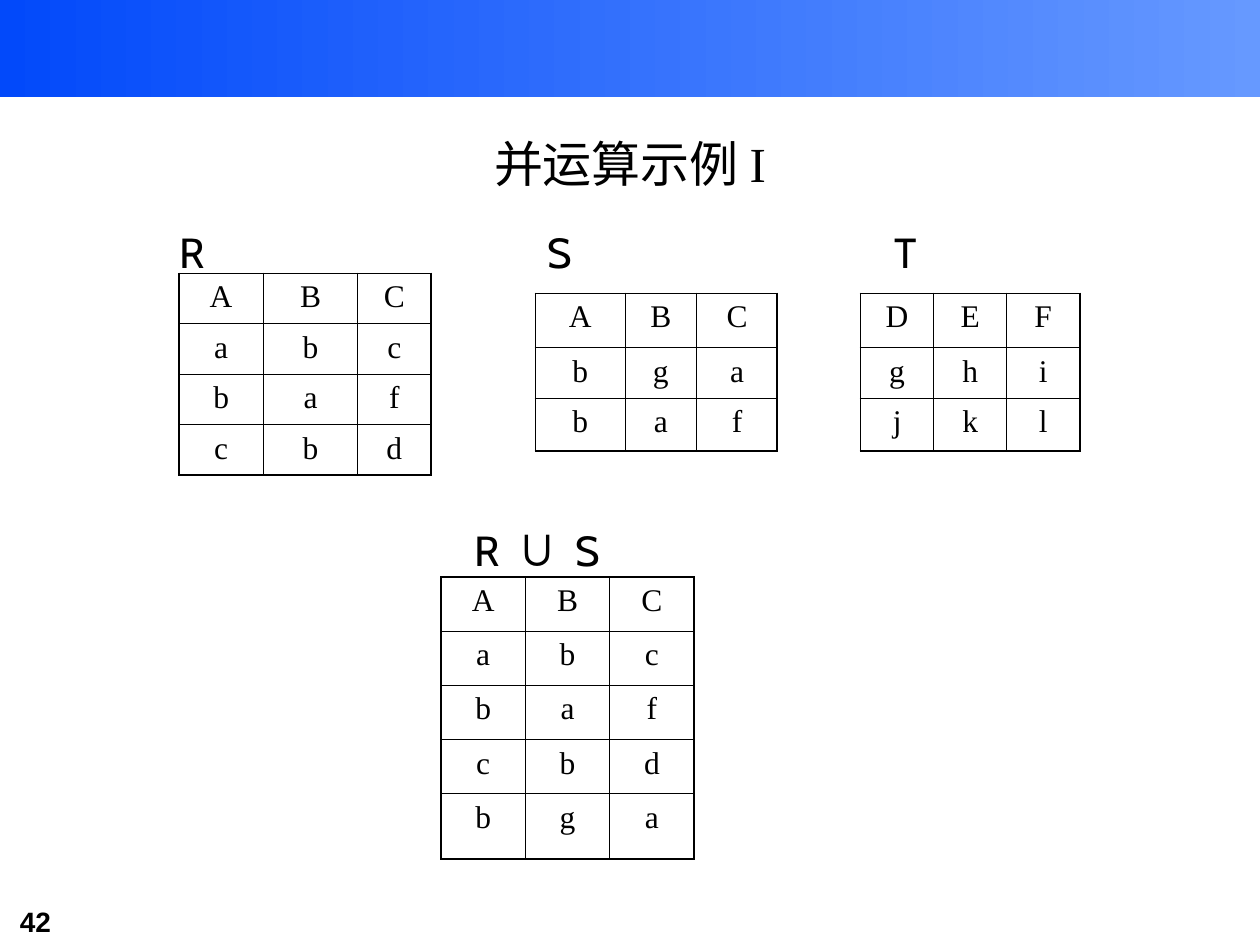
import pptx
import pptx.dml.color
import pptx.enum.shapes
import pptx.enum.text
import pptx.oxml
import pptx.oxml.ns
import pptx.util
from pptx.util import Inches

SERIF, LABEL = "Times New Roman", "Cabin"


def color(value):
    return pptx.dml.color.RGBColor.from_string(value)


def style_run(r, size, font, bold=False):
    r.font.size = pptx.util.Pt(size)
    r.font.name = font
    r.font.bold = bold
    r.font.color.rgb = color("000000")


prs = pptx.Presentation()
prs.slide_width, prs.slide_height = Inches(10), Inches(7.5)
s = prs.slides.add_slide(prs.slide_layouts[5])

# Gradient band across the top
band = s.shapes.add_shape(pptx.enum.shapes.MSO_SHAPE.RECTANGLE,
                          0, 0, Inches(10), Inches(0.77))
band.shadow.inherit = False
band.line.fill.background()
band.fill.gradient()
band.fill.gradient_angle = 0
for stop, value in zip(band.fill.gradient_stops, ("0249FA", "6699FF")):
    stop.color.rgb = color(value)

# Title
title = s.shapes.title
title.left, title.top = Inches(0.75), Inches(0.67)
title.width, title.height = Inches(8.5), Inches(1.25)
tf = title.text_frame
tf.text = "并运算示例 I"
tf.vertical_anchor = pptx.enum.text.MSO_ANCHOR.MIDDLE
p = tf.paragraphs[0]
p.alignment = pptx.enum.text.PP_ALIGN.CENTER
style_run(p.runs[0], 28, SERIF)

# Relations: left, top, column widths, row heights, rows of values
relations = [
    (1.42, 2.17, (0.67, 0.75, 0.58), (0.4,) * 4, ("ABC", "abc", "baf", "cbd")),
    (4.25, 2.33, (0.71, 0.57, 0.64), (0.43, 0.4, 0.42), ("ABC", "bga", "baf")),
    (6.83, 2.33, (0.58,) * 3, (0.43, 0.4, 0.42), ("DEF", "ghi", "jkl")),
    (3.5, 4.58, (0.67,) * 3, (0.43,) * 4 + (0.52,),
     ("ABC", "abc", "baf", "cbd", "bga")),
]
for left, top, widths, heights, rows in relations:
    table = s.shapes.add_table(
        len(rows), len(widths), Inches(left), Inches(top),
        Inches(sum(widths)), Inches(sum(heights))).table
    table.first_row = table.horz_banding = False
    for column, width in zip(table.columns, widths):
        column.width = Inches(width)
    for row, height in zip(table.rows, heights):
        row.height = Inches(height)

    for i, values in enumerate(rows):
        for j, value in enumerate(values):
            cell = table.cell(i, j)
            cell.text_frame.text = value
            p = cell.text_frame.paragraphs[0]
            p.alignment = pptx.enum.text.PP_ALIGN.CENTER
            style_run(p.runs[0], 18, SERIF)

            # Thick outer edges, thin inner lines
            outer = {"L": j == 0, "R": j == len(widths) - 1,
                     "T": i == 0, "B": i == len(rows) - 1}
            tc_pr = cell._tc.get_or_add_tcPr()
            for side, is_outer in outer.items():
                line_width = pptx.util.Pt(1.08 if is_outer else 0.45)
                tc_pr.append(pptx.oxml.parse_xml(
                    f'<a:ln{side} {pptx.oxml.ns.nsdecls("a")} w="{line_width}">'
                    '<a:solidFill><a:srgbClr val="000000"/></a:solidFill>'
                    f'</a:ln{side}>'))
            cell.fill.background()

# Relation names and page number: left, top, width, height, runs
labels = [
    (1.33, 1.75, 1, 0.5, [("R", 24, LABEL)]),
    (4.25, 1.75, 1, 0.5, [("S", 24, LABEL)]),
    (7, 1.75, 0.83, 0.5, [("T", 24, LABEL)]),
    (3.67, 4, 1.67, 0.64,
     [("R ", 24, LABEL), ("∪", 32, SERIF), (" S", 24, LABEL)]),
    (0.06, 7.13, 1.22, 0.37, [("42", 16, "Arial", True)]),
]
for left, top, width, height, runs in labels:
    tf = s.shapes.add_textbox(Inches(left), Inches(top),
                              Inches(width), Inches(height)).text_frame
    tf.word_wrap = True
    for text, *style in runs:
        r = tf.paragraphs[0].add_run()
        r.text = text
        style_run(r, *style)

prs.save("out.pptx")
